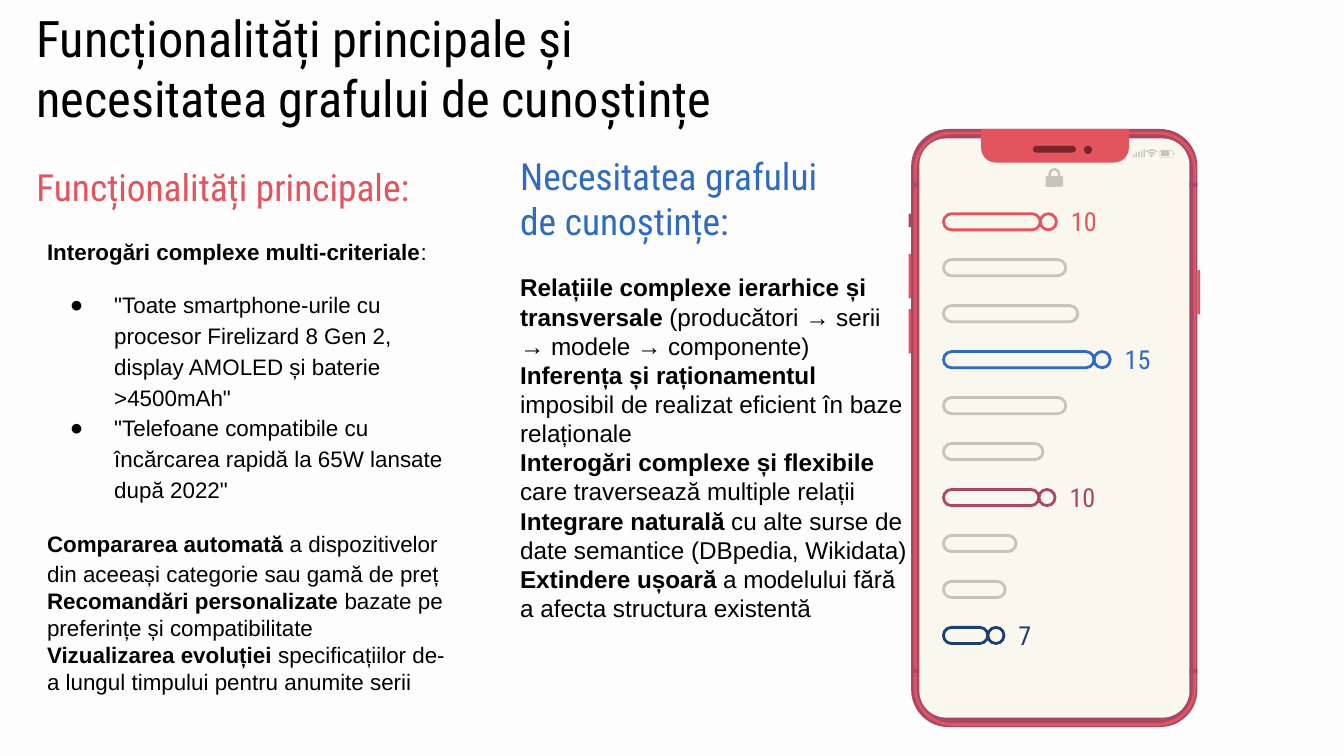
from dataclasses import dataclass

from lxml.etree import SubElement
from pptx import Presentation
from pptx.dml.color import RGBColor
from pptx.enum.shapes import MSO_SHAPE as Kind
from pptx.enum.text import MSO_ANCHOR as Anchor, MSO_AUTO_SIZE as AutoSize, PP_ALIGN as Align
from pptx.oxml.ns import qn
from pptx.util import Inches, Pt


@dataclass(frozen=True)
class Theme:
    paper: str = "FDFDFD"
    ink: str = "000000"
    red: str = "E2555F"
    blue: str = "2F6CC0"
    plum: str = "A74868"
    navy: str = "1C3F6F"
    grey: str = "C7C3B8"
    screen: str = "FAF7EF"
    maroon: str = "7C242A"
    display: str = "Roboto Condensed"
    body: str = "Arial"
    title_size: float = 27
    heading_size: float = 20
    right_size: float = 13
    left_size: float = 12
    value_size: float = 14


THEME = Theme()

# Paragraphs: bold lead, plain rest, and any paragraph settings
BULLET = {"bullet": True, "line_spacing": 1.15}
FEATURES = [
    ("Interogări complexe multi-criteriale", ":", {}),
    ("", "\"Toate smartphone-urile cu procesor Firelizard 8 Gen 2, display AMOLED "
         "și baterie >4500mAh\"", {**BULLET, "space_before": Pt(12)}),
    ("", "\"Telefoane compatibile cu încărcarea rapidă la 65W lansate după 2022\"", BULLET),
    ("Compararea automată", " a dispozitivelor din aceeași categorie sau gamă de preț",
     {"line_spacing": 1.15, "space_before": Pt(12)}),
    ("Recomandări personalizate", " bazate pe preferințe și compatibilitate", {}),
    ("Vizualizarea evoluției", " specificațiilor de-a lungul timpului pentru anumite serii", {}),
]
REASONS = [
    ("Relațiile complexe ierarhice și transversale",
     " (producători → serii → modele → componente)", {}),
    ("Inferența și raționamentul", " imposibil de realizat eficient în baze relaționale", {}),
    ("Interogări complexe și flexibile", " care traversează multiple relații", {}),
    ("Integrare naturală", " cu alte surse de date semantice (DBpedia, Wikidata)", {}),
    ("Extindere ușoară", " a modelului fără a afecta structura existentă", {}),
]

# Slider rows: length, colour, value
SLIDERS = [
    (0.72, THEME.red, "10"), (0.91, THEME.grey, ""), (1.0, THEME.grey, ""),
    (1.12, THEME.blue, "15"), (0.91, THEME.grey, ""), (0.74, THEME.grey, ""),
    (0.71, THEME.plum, "10"), (0.54, THEME.grey, ""), (0.46, THEME.grey, ""),
    (0.33, THEME.navy, "7"),
]


def apply(target, values):
    for name, value in values.items():
        setattr(target, name, value)


def place(shape, bounds):
    apply(shape, dict(zip(("left", "top", "width", "height"), map(Inches, bounds))))


def add_span(para, text, size, color, font, bold=False):
    span = para.add_run()
    span.text = text
    apply(span.font, {"size": Pt(size), "name": font, "bold": bold})
    span.font.color.rgb = RGBColor.from_string(color)


def set_bullet(para, shown):
    """Give the paragraph a round bullet, or switch the inherited one off."""
    props = para._p.get_or_add_pPr()
    props.set("marL", str(Inches(0.5 if shown else 0)))
    props.set("indent", str(Inches(-0.33 if shown else 0)))
    if shown:
        color = SubElement(props, qn("a:buClr"))
        SubElement(color, qn("a:srgbClr")).set("val", THEME.ink)
        SubElement(props, qn("a:buChar")).set("char", "●")
    else:
        SubElement(props, qn("a:buNone"))


def fill_text(box, bounds, paragraphs, size, color, font, bottom=0.1):
    place(box, bounds)
    frame = box.text_frame
    apply(frame, {"word_wrap": True, "auto_size": AutoSize.NONE,
                  "vertical_anchor": Anchor.MIDDLE, "margin_bottom": Inches(bottom)})
    apply(frame, dict.fromkeys(("margin_left", "margin_top", "margin_right"), Inches(0.1)))
    for index, (lead, rest, settings) in enumerate(paragraphs):
        para = frame.add_paragraph() if index else frame.paragraphs[0]
        settings = dict(settings)
        set_bullet(para, settings.pop("bullet", False))
        apply(para, {"alignment": Align.LEFT, "space_before": Pt(0),
                     "line_spacing": 1.0, **settings})
        if lead:
            add_span(para, lead, size, color, font, bold=True)
        add_span(para, rest, size, color, font)


def add_figure(page, kind, bounds, fill=None, line=None, width=0.75, adjust=()):
    shape = page.shapes.add_shape(kind, *map(Inches, bounds))
    shape.shadow.inherit = False
    if fill:
        shape.fill.solid()
        shape.fill.fore_color.rgb = RGBColor.from_string(fill)
    else:
        shape.fill.background()
    if line:
        shape.line.color.rgb = RGBColor.from_string(line)
        shape.line.width = Pt(width)
    else:
        shape.line.fill.background()
    for index, value in enumerate(adjust):
        shape.adjustments[index] = value


def add_phone(page):
    rounded = Kind.ROUNDED_RECTANGLE
    # Case, screen, notch and rim
    add_figure(page, rounded, (6.78, 0.96, 2.13, 4.45), THEME.plum, adjust=[0.13])
    add_figure(page, rounded, (6.84, 1.03, 2.01, 4.31), THEME.screen, adjust=[0.1])
    add_figure(page, Kind.ROUND_2_SAME_RECTANGLE, (7.3, 0.96, 1.1, 0.25), THEME.red,
               adjust=[0, 0.44])
    add_figure(page, rounded, (6.81, 0.99, 2.08, 4.4), line=THEME.red, width=1.5, adjust=[0.13])
    # Camera and speaker
    add_figure(page, Kind.OVAL, (8.07, 1.09, 0.05, 0.05), THEME.maroon, THEME.maroon)
    add_figure(page, rounded, (7.69, 1.09, 0.31, 0.04), THEME.maroon, THEME.maroon, adjust=[0.5])
    # Antenna bands
    for left in (6.78, 8.85):
        for top in (1.36, 4.98):
            add_figure(page, Kind.RECTANGLE, (left, top, 0.06, 0.03), THEME.plum)
    # Side buttons
    for left, top, height, color in ((8.91, 2.01, 0.33, THEME.red), (6.76, 2.3, 0.33, THEME.red),
                                     (6.76, 1.89, 0.33, THEME.red), (6.76, 1.59, 0.1, THEME.plum)):
        add_figure(page, rounded, (left, top, 0.02, height), color, adjust=[0.3])


def add_status_icons(page):
    rounded, grey = Kind.ROUNDED_RECTANGLE, THEME.grey
    # Padlock
    add_figure(page, rounded, (7.81, 1.26, 0.07, 0.11), line=grey, width=1.25, adjust=[0.5])
    add_figure(page, rounded, (7.78, 1.31, 0.13, 0.08), grey, adjust=[0.12])
    # Signal bars
    for step in range(5):
        height = 0.02 + 0.01 * step
        add_figure(page, Kind.RECTANGLE, (8.43 + 0.02 * step, 1.17 - height, 0.01, height), grey)
    # Wireless arcs, from 225 to 315 degrees
    for radius in (0.06, 0.04, 0.02):
        add_figure(page, Kind.BLOCK_ARC, (8.57 - radius, 1.17 - radius, 2 * radius, 2 * radius),
                   grey, adjust=[135, 189, 0.005 / radius])
    add_figure(page, Kind.OVAL, (8.56, 1.16, 0.01, 0.01), grey)
    # Battery
    add_figure(page, rounded, (8.63, 1.12, 0.1, 0.05), line=grey, width=0.25)
    add_figure(page, Kind.RECTANGLE, (8.64, 1.12, 0.06, 0.04), grey)
    add_figure(page, Kind.RECTANGLE, (8.73, 1.14, 0.01, 0.01), grey)


def add_sliders(page):
    left, first, pitch, size = 7.02, 1.65, 0.342, 0.12
    for row, (length, color, value) in enumerate(SLIDERS):
        middle = first + row * pitch
        top, knob = middle - size / 2, left + length
        add_figure(page, Kind.ROUNDED_RECTANGLE, (left, top, length, size),
                   line=color, width=1.5, adjust=[0.5])
        if value:
            add_figure(page, Kind.OVAL, (knob, top, size, size), line=color, width=1.5)
            label = page.shapes.add_textbox(0, 0, 0, 0)
            fill_text(label, (knob + size + 0.01, middle - 0.12, 0.4, 0.23), [("", value, {})],
                      THEME.value_size, color, THEME.display)


def main():
    deck = Presentation()
    # Widescreen, 16 to 9
    width = Inches(10)
    apply(deck, {"slide_width": width, "slide_height": width * 9 // 16})
    page = deck.slides.add_slide(deck.slide_layouts.get_by_name("Comparison"))
    page.background.fill.solid()
    page.background.fill.fore_color.rgb = RGBColor.from_string(THEME.paper)
    title, left_heading, left_list, right_heading, right_list = page.placeholders

    # Title and column headings
    for box, bounds, text, size, color in (
        (title, (0.17, 0.44, 5.44, 0.12),
         "Funcționalități principale și necesitatea grafului de cunoștințe",
         THEME.title_size, THEME.ink),
        (left_heading, (0.17, 1.23, 3.35, 0.31), "Funcționalități principale:",
         THEME.heading_size, THEME.red),
        (right_heading, (3.77, 1.32, 2.55, 0.31), "Necesitatea grafului de cunoștințe:",
         THEME.heading_size, THEME.blue),
    ):
        fill_text(box, bounds, [("", text, {})], size, color, THEME.display)

    # Column lists
    fill_text(left_list, (0.25, 1.73, 3.18, 3.69), FEATURES,
              THEME.left_size, THEME.ink, THEME.body, bottom=0.31)
    fill_text(right_list, (3.77, 1.88, 3.09, 3.13), REASONS,
              THEME.right_size, THEME.ink, THEME.body, bottom=0.33)

    # Phone
    add_phone(page)
    add_status_icons(page)
    add_sliders(page)
    deck.save("out.pptx")


if __name__ == "__main__":
    main()
